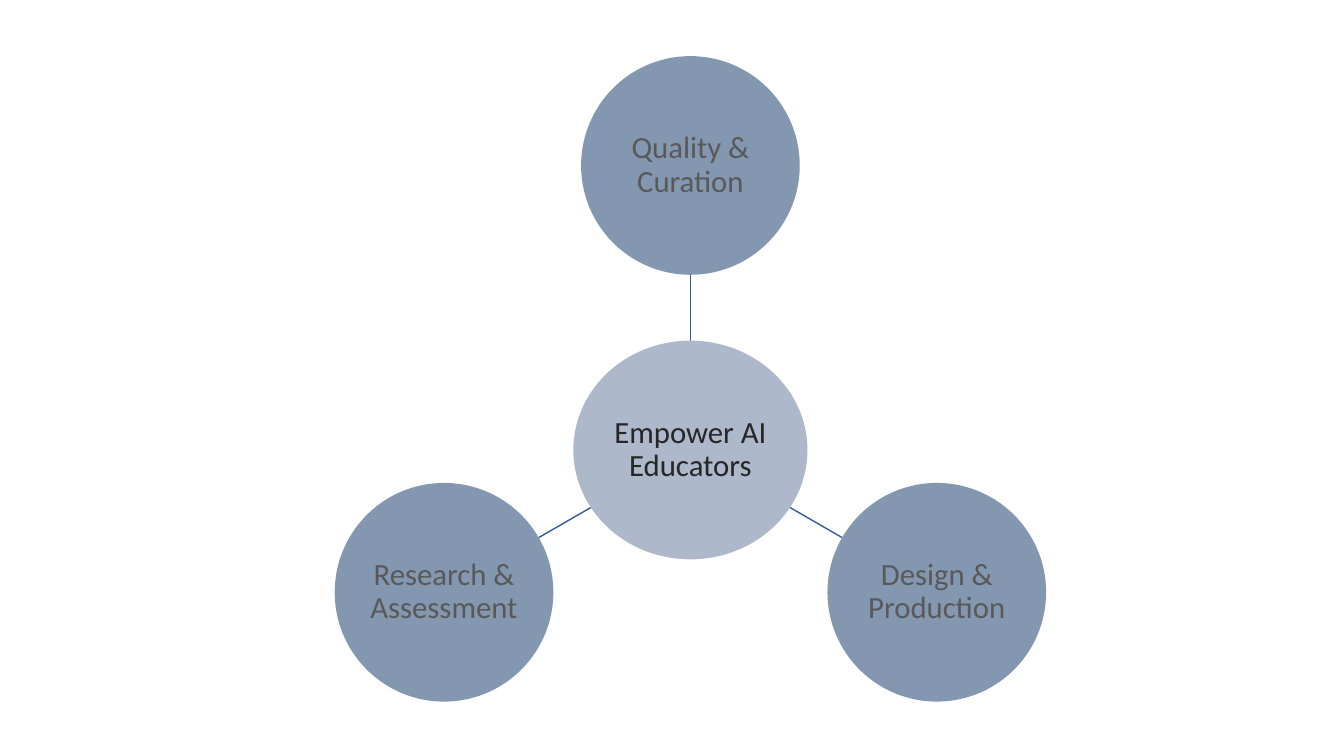
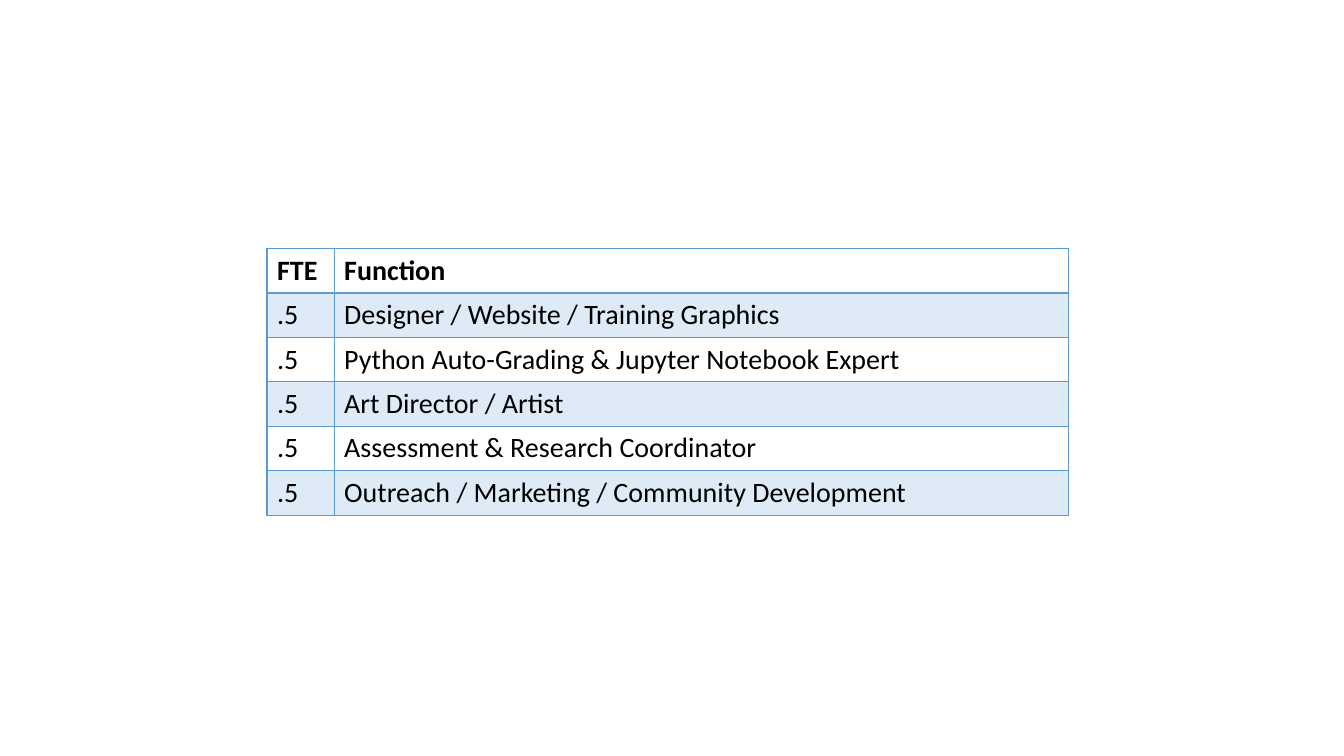
"""Build two slides: a hub of three teams, and a table of staff functions."""
import math

import lxml.etree
import pptx
import pptx.dml.color
import pptx.enum.shapes
import pptx.enum.text
import pptx.oxml
import pptx.oxml.ns
import pptx.util

Cm = pptx.util.Cm
Pt = pptx.util.Pt
qn = pptx.oxml.ns.qn

FONT = "Calibri"
COLORS = {
    "hub": "ADB9CA",
    "hub text": "262626",
    "team": "8497B0",
    "team text": "595959",
    "spoke": "365B9D",
    "border": "5B9BD5",
    "band": "DEEBF7",
    "table text": "000000",
}


def rgb(name):
    return pptx.dml.color.RGBColor.from_string(COLORS[name])


def style_text(paragraph, size, color, bold=False):
    for run in paragraph.runs:
        run.font.name = FONT
        run.font.size = Pt(size)
        run.font.bold = bold
        run.font.color.rgb = rgb(color)


presentation = pptx.Presentation()
presentation.slide_width = Cm(33.87)
presentation.slide_height = Cm(19.05)
blank_layout = presentation.slide_layouts[6]

hub_slide = presentation.slides.add_slide(blank_layout)
HUB_X, HUB_Y = 17.4, 11.34
HUB_WIDTH, DIAMETER = 5.9, 5.51
ORBIT = 7.17
teams = [
    ("Quality & Curation", -90),
    ("Design & Production", 30),
    ("Research & Assessment", 150),
]
circles = [("Empower AI Educators", HUB_X, HUB_Y, HUB_WIDTH, "hub")]

for label, degrees in teams:
    cosine = math.cos(math.radians(degrees))
    sine = math.sin(math.radians(degrees))
    circles.append((label, HUB_X + ORBIT * cosine, HUB_Y + ORBIT * sine, DIAMETER, "team"))
    spoke_start = 0.5 / math.hypot(cosine / HUB_WIDTH, sine / DIAMETER)
    spoke_end = ORBIT - DIAMETER / 2
    spoke = hub_slide.shapes.add_connector(
        pptx.enum.shapes.MSO_CONNECTOR.STRAIGHT,
        Cm(HUB_X + spoke_start * cosine), Cm(HUB_Y + spoke_start * sine),
        Cm(HUB_X + spoke_end * cosine), Cm(HUB_Y + spoke_end * sine),
    )
    spoke.line.color.rgb = rgb("spoke")
    spoke.line.width = Pt(1)
    lxml.etree.SubElement(spoke._element.spPr, qn("a:effectLst"))

for label, center_x, center_y, width, role in circles:
    circle = hub_slide.shapes.add_shape(
        pptx.enum.shapes.MSO_SHAPE.OVAL,
        Cm(center_x - width / 2), Cm(center_y - DIAMETER / 2), Cm(width), Cm(DIAMETER),
    )
    circle.shadow.inherit = False
    circle.fill.solid()
    circle.fill.fore_color.rgb = rgb(role)
    circle.line.fill.background()
    text_frame = circle.text_frame
    text_frame.word_wrap = True
    text_frame.vertical_anchor = pptx.enum.text.MSO_ANCHOR.MIDDLE
    text_frame.margin_left = text_frame.margin_right = Cm(0.05)
    text_frame.margin_top = text_frame.margin_bottom = Cm(0.05)
    text_frame.text = label
    paragraph = text_frame.paragraphs[0]
    paragraph.alignment = pptx.enum.text.PP_ALIGN.CENTER
    paragraph.line_spacing = 0.9
    style_text(paragraph, 22, f"{role} text")

staff_slide = presentation.slides.add_slide(blank_layout)
staff_rows = [
    ("FTE", "Function"),
    (".5", "Designer / Website / Training Graphics"),
    (".5", "Python Auto-Grading & Jupyter Notebook Expert"),
    (".5", "Art Director / Artist"),
    (".5", "Assessment & Research Coordinator"),
    (".5", "Outreach / Marketing / Community Development"),
]
COLUMN_WIDTHS = [1.69, 18.51]
ROW_HEIGHT = 1.12
table = staff_slide.shapes.add_table(
    len(staff_rows), len(COLUMN_WIDTHS), Cm(6.73), Cm(6.26),
    Cm(sum(COLUMN_WIDTHS)), Cm(ROW_HEIGHT * len(staff_rows)),
).table
table.horz_banding = False
for column, width in zip(table.columns, COLUMN_WIDTHS):
    column.width = Cm(width)

for row_index, values in enumerate(staff_rows):
    table.rows[row_index].height = Cm(ROW_HEIGHT)
    border_widths = {
        "a:lnL": 1,
        "a:lnR": 1,
        "a:lnT": 2 if row_index == 1 else 1,
        "a:lnB": 2 if row_index == 0 else 1,
    }
    for column_index, value in enumerate(values):
        cell = table.cell(row_index, column_index)
        cell.text_frame.text = value
        style_text(cell.text_frame.paragraphs[0], 20, "table text", row_index == 0)
        properties = cell._tc.get_or_add_tcPr()
        for tag, width in border_widths.items():
            border = lxml.etree.SubElement(properties, qn(tag), w=str(Pt(width)))
            border_fill = lxml.etree.SubElement(border, qn("a:solidFill"))
            lxml.etree.SubElement(border_fill, qn("a:srgbClr"), val=COLORS["border"])
        if row_index % 2:
            cell.fill.solid()
            cell.fill.fore_color.rgb = rgb("band")
        else:
            cell.fill.background()

presentation.save("out.pptx")
